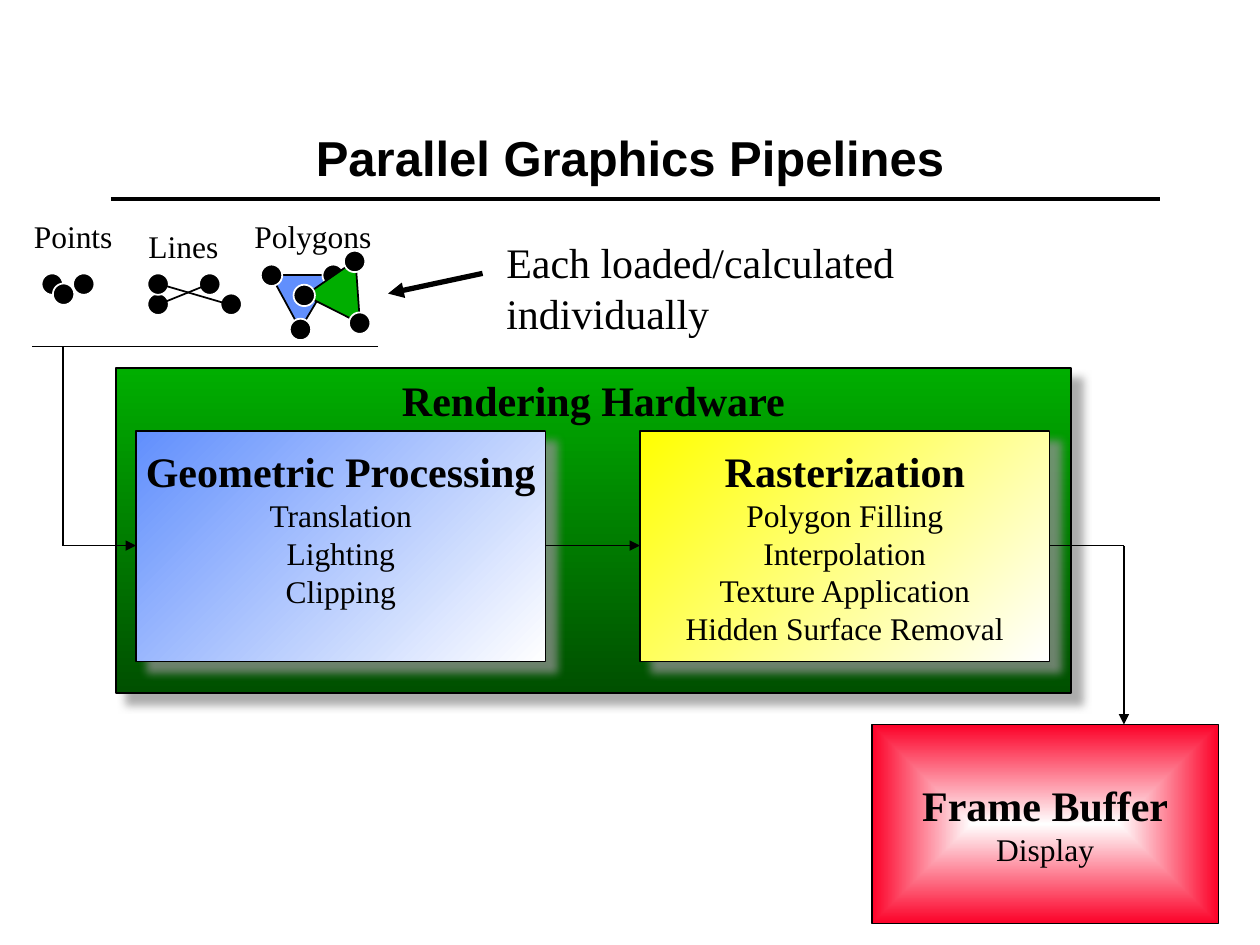
import dataclasses
import typing

import lxml.etree
import pptx
import pptx.dml.color
import pptx.enum.dml
import pptx.enum.shapes
import pptx.enum.text
import pptx.oxml.ns
import pptx.util

Inches = pptx.util.Inches
Pt = pptx.util.Pt
RGBColor = pptx.dml.color.RGBColor
Preset = pptx.enum.shapes.MSO_SHAPE
Align = pptx.enum.text.PP_ALIGN
Anchor = pptx.enum.text.MSO_ANCHOR
AutoSize = pptx.enum.text.MSO_AUTO_SIZE
qn = pptx.oxml.ns.qn

BLACK = RGBColor(0x00, 0x00, 0x00)
WHITE = RGBColor(0xFF, 0xFF, 0xFF)
GREEN = RGBColor(0x00, 0xAE, 0x00)
DARK_GREEN = RGBColor(0x00, 0x50, 0x00)
BLUE = RGBColor(0x61, 0x8F, 0xFD)
YELLOW = RGBColor(0xFF, 0xFF, 0x00)
RED = RGBColor(0xFC, 0x01, 0x28)
SHADOW = RGBColor(0x91, 0x91, 0x91)

SERIF = "Times New Roman"
DOT_SIZE = 0.17
HEADING = {"name": SERIF, "size": Pt(24), "bold": True}
DETAIL = {"name": SERIF, "size": Pt(18), "bold": False}
REMARK = {"name": SERIF, "size": Pt(24), "bold": False}
TITLE = {"name": "Arial", "size": Pt(28), "bold": True}


class Point(typing.NamedTuple):
    x: float
    y: float


class Area(typing.NamedTuple):
    left: float
    top: float
    width: float
    height: float

    def lengths(self) -> list:
        return [Inches(value) for value in self]


@dataclasses.dataclass
class Stage:
    area: Area
    heading: str
    details: tuple
    colors: tuple
    angle: typing.Optional[int] = 45
    shadow: bool = True
    anchor: typing.Any = Anchor.MIDDLE
    bottom: float = 0.05


@dataclasses.dataclass
class Wire:
    start: Point
    end: Point
    width: float = 1
    arrow: bool = False


@dataclasses.dataclass
class Label:
    area: Area
    text: str
    style: dict
    wrap: bool = False
    right: float = 0.1


@dataclasses.dataclass
class Polygon:
    area: Area
    rotation: float
    color: RGBColor
    corners: tuple


STAGES = [
    Stage(Area(0.92, 2.92, 7.58, 2.58), "Rendering Hardware", (),
          (GREEN, DARK_GREEN), angle=90, anchor=Anchor.TOP),
    Stage(Area(1.08, 3.42, 3.25, 1.83), "Geometric Processing",
          ("Translation", "Lighting", "Clipping"), (BLUE, WHITE), bottom=0.34),
    Stage(Area(5.08, 3.42, 3.25, 1.83), "Rasterization",
          ("Polygon Filling", "Interpolation", "Texture Application",
           "Hidden Surface Removal"), (YELLOW, WHITE)),
    Stage(Area(6.92, 5.75, 2.75, 1.58), "Frame Buffer", ("Display",),
          (WHITE, RED), angle=None, shadow=False),
]
WIRES = [
    Wire(Point(0.88, 1.58), Point(9.21, 1.58), width=2),
    Wire(Point(4.33, 4.33), Point(5.08, 4.33), arrow=True),
    Wire(Point(0.5, 4.33), Point(1.08, 4.33), arrow=True),
    Wire(Point(0.5, 4.33), Point(0.5, 2.75)),
    Wire(Point(8.33, 4.33), Point(8.92, 4.33)),
    Wire(Point(8.92, 4.33), Point(8.92, 5.75), arrow=True),
    Wire(Point(3.83, 2.17), Point(3.08, 2.33), width=3, arrow=True),
    Wire(Point(3, 2.75), Point(0.25, 2.75)),
]
DOTS = [
    Point(0.33, 2.17), Point(0.42, 2.25), Point(0.58, 2.17),
    Point(1.58, 2.17), Point(1.17, 2.33), Point(1.75, 2.33), Point(1.17, 2.17),
]
SEGMENTS = [
    Wire(Point(1.25, 2.42), Point(1.67, 2.25)),
    Wire(Point(1.25, 2.25), Point(1.83, 2.42)),
]
POLYGONS = [
    Polygon(Area(2.08, 2.08, 0.5, 0.42), 300.7, BLUE,
            (Point(2.07, 2.1), Point(2.3, 2.53), Point(2.56, 2.1))),
    Polygon(Area(2.38, 2.12, 0.5, 0.42), 266, GREEN,
            (Point(2.33, 2.26), Point(2.77, 2.48), Point(2.73, 1.99))),
]
LABELS = [
    Label(Area(3.92, 1.83, 4.97, 0.9), "Each loaded/calculated individually",
          REMARK, wrap=True, right=1),
    Label(Area(0.17, 1.67, 0.83, 0.4), "Points", DETAIL),
    Label(Area(1.08, 1.75, 0.76, 0.4), "Lines", DETAIL),
    Label(Area(1.92, 1.67, 1.13, 0.4), "Polygons", DETAIL),
]


def apply_format(target: typing.Any, values: dict) -> None:
    for name, value in values.items():
        setattr(target, name, value)


def write_line(para: typing.Any, text: str, style: dict) -> None:
    span = para.add_run()
    span.text = text
    apply_format(span.font, style)
    span.font.color.rgb = BLACK


def add_preset(shapes: typing.Any, preset: typing.Any, area: Area, outline: RGBColor) -> typing.Any:
    shape = shapes.add_shape(preset, *area.lengths())
    shape.shadow.inherit = False
    shape.line.color.rgb = outline
    shape.line.width = Pt(1)
    return shape


def add_dot(shapes: typing.Any, corner: Point) -> None:
    dot = add_preset(shapes, Preset.OVAL, Area(*corner, DOT_SIZE, DOT_SIZE), WHITE)
    dot.fill.solid()
    dot.fill.fore_color.rgb = BLACK


def add_polygon(shapes: typing.Any, polygon: Polygon) -> None:
    group = shapes.add_group_shape()
    triangle = add_preset(group.shapes, Preset.ISOSCELES_TRIANGLE, polygon.area, BLACK)
    triangle.rotation = polygon.rotation
    triangle.fill.solid()
    triangle.fill.fore_color.rgb = polygon.color
    for corner in polygon.corners:
        add_dot(group.shapes, corner)


def add_wire(shapes: typing.Any, wire: Wire) -> None:
    ends = [Inches(value) for value in (*wire.start, *wire.end)]
    line = shapes.add_connector(pptx.enum.shapes.MSO_CONNECTOR.STRAIGHT, *ends)
    line.line.color.rgb = BLACK
    line.line.width = Pt(wire.width)
    if wire.arrow:
        lxml.etree.SubElement(line.line._get_or_add_ln(), qn("a:tailEnd"), type="triangle")
    lxml.etree.SubElement(line._element.spPr, qn("a:effectLst"))


def paint_gradient(shape: typing.Any, stage: Stage) -> None:
    shape.fill.gradient()
    for stop, color in zip(shape.fill.gradient_stops, stage.colors):
        stop.color.rgb = color
    if stage.angle is not None:
        shape.fill.gradient_angle = 360 - stage.angle
        return
    gradient = shape._element.spPr.find(qn("a:gradFill"))
    gradient.remove(gradient.find(qn("a:lin")))
    center = lxml.etree.SubElement(gradient, qn("a:path"), path="rect")
    sides = dict.fromkeys("ltrb", "50000")
    lxml.etree.SubElement(center, qn("a:fillToRect"), **sides)


def cast_shadow(shape: typing.Any) -> None:
    effects = shape._element.spPr.find(qn("a:effectLst"))
    shadow = lxml.etree.SubElement(
        effects, qn("a:outerShdw"), blurRad=str(int(Pt(5))), dist=str(int(Pt(8.5))), dir="2700000")
    color = lxml.etree.SubElement(shadow, qn("a:srgbClr"), val=str(SHADOW))
    lxml.etree.SubElement(color, qn("a:alpha"), val="75000")


def add_stage(shapes: typing.Any, stage: Stage) -> None:
    box = add_preset(shapes, Preset.RECTANGLE, stage.area, BLACK)
    paint_gradient(box, stage)
    if stage.shadow:
        cast_shadow(box)
    frame = box.text_frame
    apply_format(frame, {"word_wrap": False, "vertical_anchor": stage.anchor,
                         "margin_bottom": Inches(stage.bottom)})
    for index, text in enumerate((stage.heading, *stage.details)):
        para = frame.add_paragraph() if index else frame.paragraphs[0]
        para.alignment = Align.CENTER
        write_line(para, text, DETAIL if index else HEADING)


def add_label(shapes: typing.Any, label: Label) -> None:
    box = shapes.add_textbox(*label.area.lengths())
    apply_format(box.text_frame, {"word_wrap": label.wrap, "margin_right": Inches(label.right),
                                  "auto_size": AutoSize.SHAPE_TO_FIT_TEXT})
    write_line(box.text_frame.paragraphs[0], label.text, label.style)


def set_title(title: typing.Any, text: str) -> None:
    names = ("left", "top", "width", "height")
    apply_format(title, dict(zip(names, Area(0.75, 0.58, 8.5, 1.33).lengths())))
    title.text_frame.vertical_anchor = Anchor.MIDDLE
    para = title.text_frame.paragraphs[0]
    para.alignment = Align.CENTER
    write_line(para, text, TITLE)


def main() -> None:
    deck = pptx.Presentation()
    apply_format(deck, {"slide_width": Inches(10), "slide_height": Inches(7.5)})
    page = deck.slides.add_slide(deck.slide_layouts[5])
    set_title(page.shapes.title, "Parallel Graphics Pipelines")
    for items, draw in ((STAGES, add_stage), (WIRES, add_wire), (DOTS, add_dot),
                        (SEGMENTS, add_wire), (POLYGONS, add_polygon), (LABELS, add_label)):
        for item in items:
            draw(page.shapes, item)
    deck.save("out.pptx")


if __name__ == "__main__":
    main()
